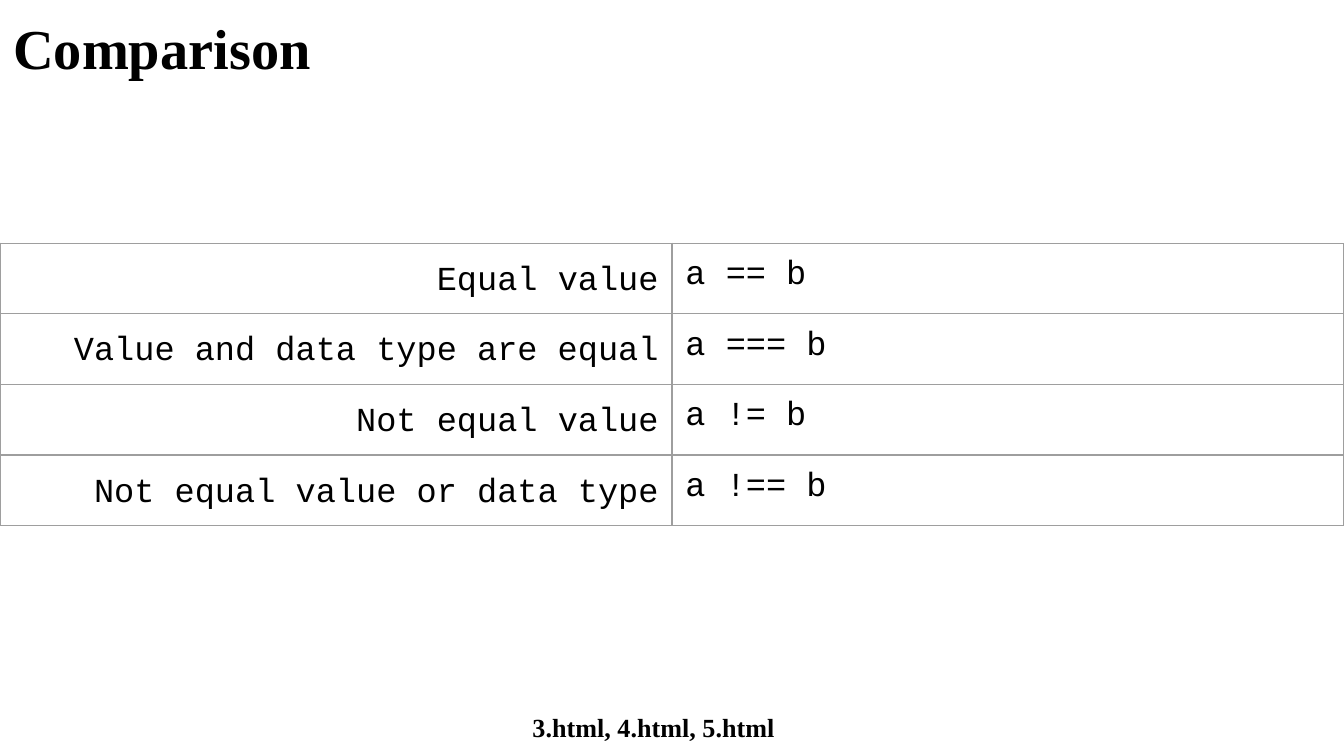
from dataclasses import dataclass

from lxml import etree
from pptx import Presentation
from pptx import util as u
from pptx.dml.color import RGBColor
from pptx.enum import text
from pptx.oxml import ns


@dataclass(frozen=True)
class Theme:
    ink: str = "000000"
    rule: str = "9E9E9E"
    serif: str = "Times New Roman"
    mono: str = "Courier New"
    title: float = 30.2
    body: float = 18
    foot: float = 14
    line: float = 0.75
    pad: float = 0.1
    base: float = 0.08


@dataclass(frozen=True)
class Label:
    words: str
    top: float
    high: float
    size: float
    align: text.PP_ALIGN
    lead: float = 1
    over: float = 0.1
    right: float = 0.1


@dataclass(frozen=True)
class Test:
    sense: str
    code: str


T = Theme()
WIDE = 10
HIGH = WIDE * 9 / 16
LEFT, MID, RIGHT = text.PP_ALIGN.LEFT, text.PP_ALIGN.CENTER, text.PP_ALIGN.RIGHT

LABELS = [
    Label("Comparison", 0, 0.63, T.title, LEFT),
    Label("3.html, 4.html, 5.html", 5.21, 0.41, T.foot, MID,
          lead=0.89, over=0.11, right=0.37),
]
TESTS = [
    Test("Equal value", "a == b"),
    Test("Value and data type are equal", "a === b"),
    Test("Not equal value", "a != b"),
    Test("Not equal value or data type", "a !== b"),
]


def add_run(para, words: str, face: str, size: float, bold: bool = False) -> None:
    run = para.add_run()
    run.text = words
    run.font.name = face
    run.font.size = u.Pt(size)
    run.font.bold = bold
    run.font.color.rgb = RGBColor.from_string(T.ink)


def add_label(slide, label: Label) -> None:
    box = slide.shapes.add_textbox(
        u.Inches(0), u.Inches(label.top), u.Inches(WIDE), u.Inches(label.high))
    frame = box.text_frame
    frame.word_wrap = True
    frame.vertical_anchor = text.MSO_ANCHOR.TOP
    frame.margin_left = u.Inches(T.pad)
    frame.margin_right = u.Inches(label.right)
    frame.margin_top = u.Inches(label.over)
    frame.margin_bottom = u.Inches(0)
    para = frame.paragraphs[0]
    para.alignment = label.align
    para.line_spacing = label.lead
    add_run(para, label.words, T.serif, label.size, True)


def rule_cell(cell) -> None:
    props = cell._tc.get_or_add_tcPr()
    for side in ("lnL", "lnR", "lnT", "lnB"):
        edge = etree.SubElement(props, ns.qn(f"a:{side}"), w=str(u.Pt(T.line)))
        fill = etree.SubElement(edge, ns.qn("a:solidFill"))
        etree.SubElement(fill, ns.qn("a:srgbClr"), val=T.rule)
    cell.fill.background()


def fill_cell(cell, words: str, align: text.PP_ALIGN):
    rule_cell(cell)
    cell.margin_left = cell.margin_right = cell.margin_top = u.Inches(T.pad)
    cell.margin_bottom = u.Inches(T.base)
    para = cell.text_frame.paragraphs[0]
    para.alignment = align
    add_run(para, words, T.mono, T.body)
    return para


def add_tests(slide, tests: list[Test], top: float, step: float) -> None:
    frame = slide.shapes.add_table(
        len(tests), 2, u.Inches(0), u.Inches(top),
        u.Inches(WIDE), u.Inches(step * len(tests)))
    table = frame.table
    table.first_row = table.horz_banding = False
    for row, test in enumerate(tests):
        para = fill_cell(table.cell(row, 0), test.sense, RIGHT)
        para.line_spacing = 1.15
        para.space_after = u.Pt(12)
        fill_cell(table.cell(row, 1), test.code, LEFT)


def main() -> None:
    deck = Presentation()
    deck.slide_width, deck.slide_height = u.Inches(WIDE), u.Inches(HIGH)
    slide = deck.slides.add_slide(deck.slide_layouts[6])
    for label in LABELS:
        add_label(slide, label)
    add_tests(slide, TESTS, 1.81, 0.42)
    deck.save("out.pptx")


if __name__ == "__main__":
    main()
